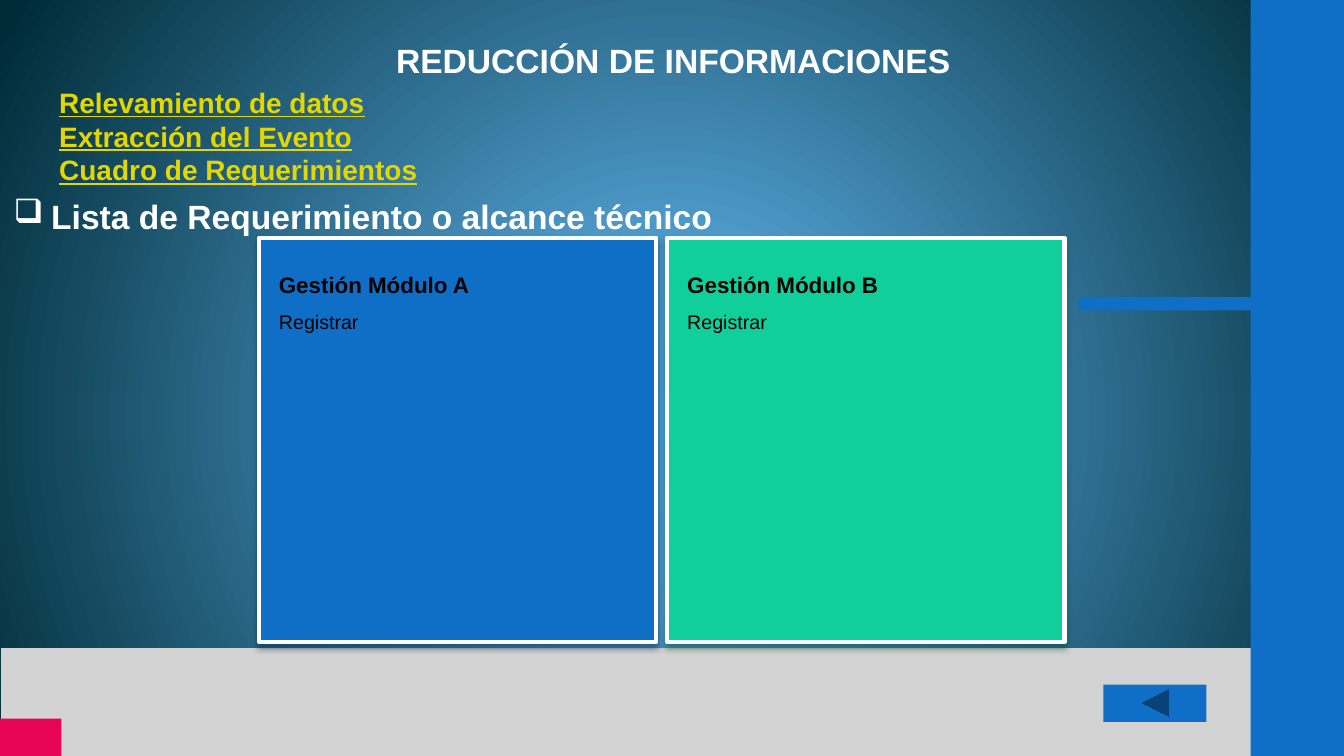
from dataclasses import dataclass

from pptx import Presentation
from pptx.dml.color import RGBColor
from pptx.enum.shapes import MSO_SHAPE as Kind
from pptx.enum.text import MSO_ANCHOR as Anchor, MSO_AUTO_SIZE as Auto, PP_ALIGN as Align
from pptx.oxml import parse_xml
from pptx.oxml.ns import nsdecls, qn
from pptx.util import Cm, Pt

BLUE = "0F6FC6"
WHITE = "FFFFFF"
BLACK = "000000"
HEAD = {"name": "Arial", "size": Pt(24), "bold": True}
LINK = {"name": "Arial", "size": Pt(20), "bold": True, "underline": True}
NAME = {"name": "Arial", "size": Pt(16), "bold": True}
TASK = {"name": "Arial", "size": Pt(14), "bold": False}


@dataclass
class Box:
    left: float
    top: float
    width: float
    height: float
    fill: str
    kind: Kind = Kind.RECTANGLE


@dataclass
class Panel:
    title: str
    fill: str
    shade: str


BARS = [
    Box(27.18, 7.49, 6.69, 0.33, BLUE),
    Box(0.03, 16.33, 31.52, 2.72, "D3D3D3"),
    Box(31.52, 0, 2.35, 19.05, BLUE),
    Box(0, 18.11, 1.55, 0.94, "E80554"),
    Box(27.81, 17.25, 2.59, 0.94, BLUE, Kind.ACTION_BUTTON_BACK_OR_PREVIOUS),
]
PANELS = [
    Panel("Gestión Módulo A", BLUE, "042747"),
    Panel("Gestión Módulo B", "10CF9B", "044A37"),
]
TOPICS = ["Relevamiento de datos", "Extracción del Evento", "Cuadro de Requerimientos"]
STOPS = [(0, "4AA0D6"), (25, "4C98C7"), (100, "002C38")]


def paint(part, color: str) -> None:
    part.rgb = RGBColor.from_string(color)


def write(para, text: str, style: dict, color: str) -> None:
    run = para.add_run()
    run.text = text
    for key, value in style.items():
        setattr(run.font, key, value)
    paint(run.font.color, color)


def draw(slide, box: Box):
    shape = slide.shapes.add_shape(
        box.kind, Cm(box.left), Cm(box.top), Cm(box.width), Cm(box.height)
    )
    shape.shadow.inherit = False
    shape.fill.solid()
    paint(shape.fill.fore_color, box.fill)
    shape.line.fill.background()
    return shape


def label(slide, left: float, top: float, width: float, height: float, wrap: bool):
    shape = slide.shapes.add_textbox(Cm(left), Cm(top), Cm(width), Cm(height))
    frame = shape.text_frame
    frame.word_wrap = wrap
    frame.auto_size = Auto.SHAPE_TO_FIT_TEXT
    return frame


def backdrop(slide) -> None:
    slide.background.fill.solid()
    stops = "".join(
        f'<a:gs pos="{pos * 1000}"><a:srgbClr val="{color}"/></a:gs>' for pos, color in STOPS
    )
    grad = parse_xml(
        f'<a:gradFill {nsdecls("a")} rotWithShape="1"><a:gsLst>{stops}</a:gsLst>'
        '<a:path path="circle"><a:fillToRect l="10000" t="110000" r="10000" b="100000"/>'
        "</a:path></a:gradFill>"
    )
    solid = next(slide.element.iter(qn("a:solidFill")))
    solid.getparent().replace(solid, grad)


def heading(slide) -> None:
    title = slide.shapes.title
    place = {"left": Cm(4.52), "top": Cm(0.89), "width": Cm(24.89), "height": Cm(1.27)}
    for key, value in place.items():
        setattr(title, key, value)
    frame = title.text_frame
    frame.auto_size = Auto.NONE
    frame.vertical_anchor = Anchor.TOP
    para = frame.paragraphs[0]
    para.alignment = Align.CENTER
    write(para, "REDUCCIÓN DE INFORMACIONES", HEAD, WHITE)


def scope(slide) -> None:
    para = label(slide, 0, 4.8, 18.29, 1.27, False).paragraphs[0]
    para.alignment = Align.CENTER
    write(para, "Lista de Requerimiento o alcance técnico", HEAD, WHITE)
    props = para._p.get_or_add_pPr()
    props.set("marL", str(Cm(0.95)))
    props.set("indent", str(-Cm(0.95)))
    props.append(parse_xml(f'<a:buChar {nsdecls("a")} char="❑"/>'))


def topics(slide) -> None:
    frame = label(slide, 1.24, 2.03, 12.37, 2.82, True)
    for index, topic in enumerate(TOPICS):
        para = frame.add_paragraph() if index else frame.paragraphs[0]
        write(para, topic, LINK, "E2D700")


def module(slide, index: int, panel: Panel) -> None:
    shape = draw(slide, Box(6.53 + index * 10.29, 5.99, 10.01, 10.19, panel.fill))
    paint(shape.line.color, WHITE)
    shape.line.width = Pt(3)
    glow = parse_xml(
        f'<a:outerShdw {nsdecls("a")} blurRad="{Pt(4.5)}" dist="{Pt(3)}" dir="5400000" '
        f'rotWithShape="0"><a:srgbClr val="{panel.shade}"><a:alpha val="48000"/>'
        "</a:srgbClr></a:outerShdw>"
    )
    shape.element.spPr.find(qn("a:effectLst")).append(glow)
    frame = shape.text_frame
    layout = {
        "margin_left": Cm(0.5),
        "margin_top": Cm(0.5),
        "margin_right": Cm(0.7),
        "margin_bottom": Cm(0.5),
        "vertical_anchor": Anchor.TOP,
        "word_wrap": True,
    }
    for key, value in layout.items():
        setattr(frame, key, value)
    para = frame.paragraphs[0]
    para.alignment = Align.LEFT
    para.line_spacing = 1.5
    write(para, panel.title, NAME, BLACK)
    para.add_line_break()
    write(para, "Registrar", TASK, BLACK)


def main() -> None:
    deck = Presentation()
    deck.slide_width = Cm(33.87)
    deck.slide_height = Cm(19.05)
    slide = deck.slides.add_slide(deck.slide_layouts[5])
    backdrop(slide)
    for bar in BARS:
        draw(slide, bar)
    heading(slide)
    scope(slide)
    for index, panel in enumerate(PANELS):
        module(slide, index, panel)
    topics(slide)
    deck.save("out.pptx")


if __name__ == "__main__":
    main()
